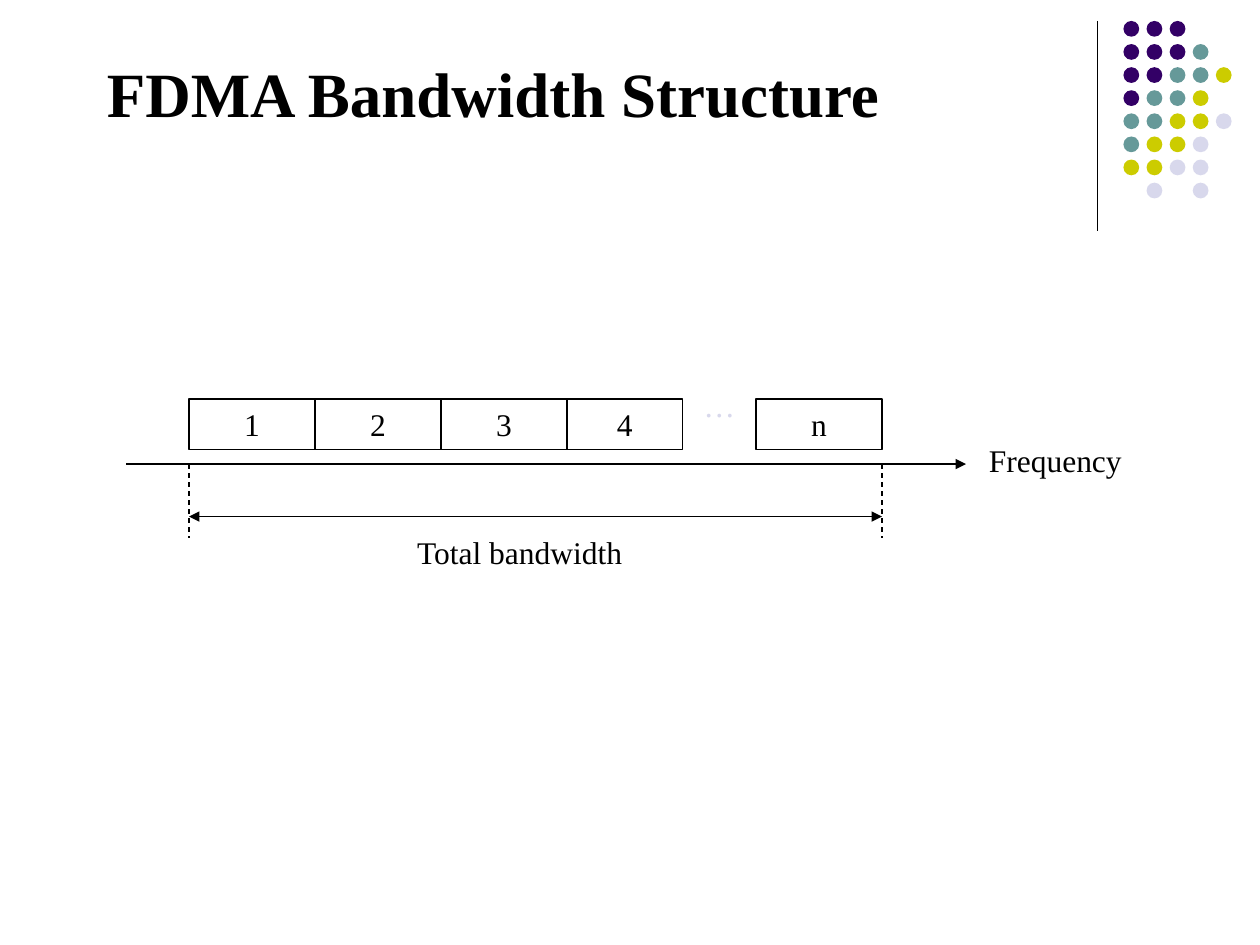
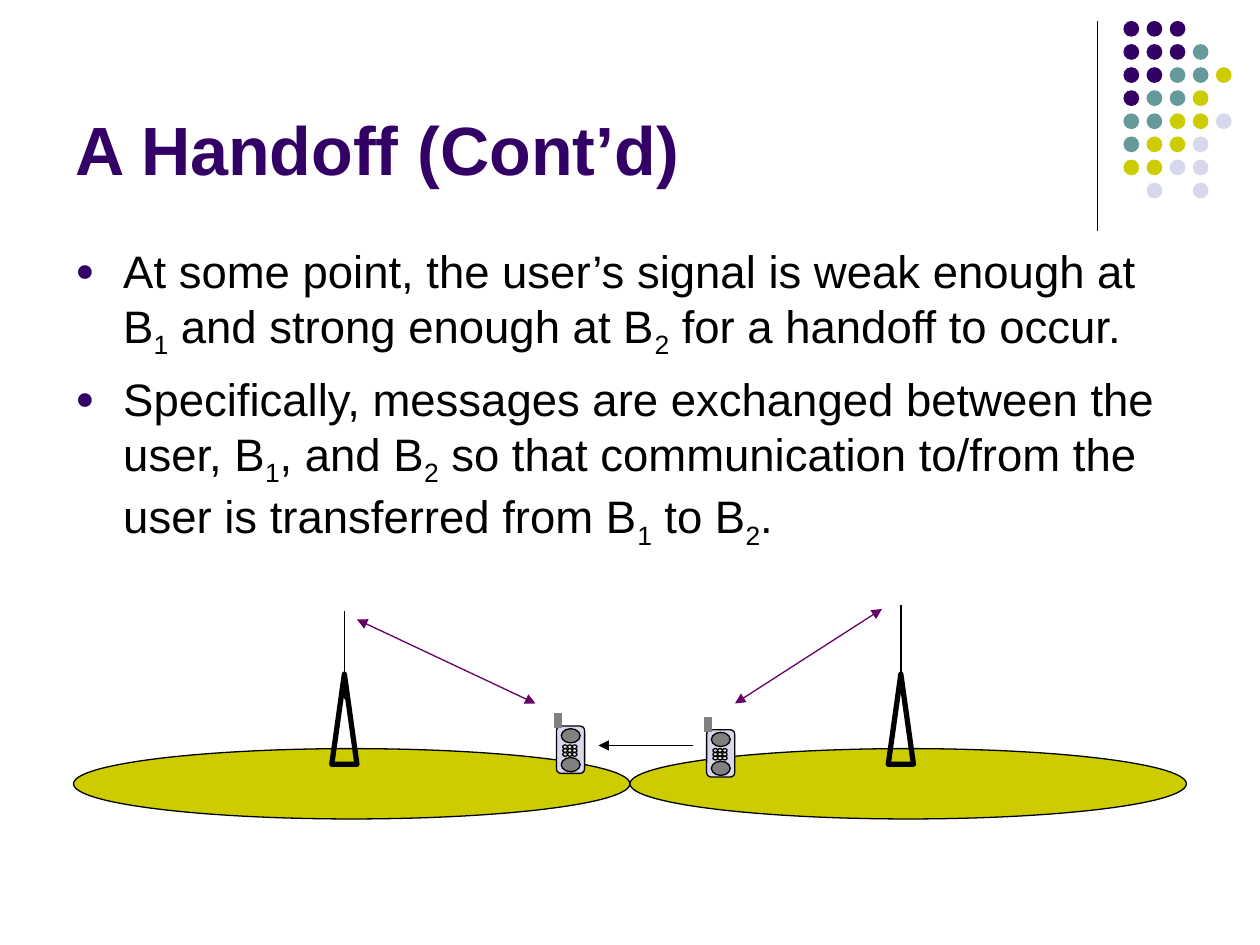
"""Build two slides on mobile networks: FDMA bandwidth and a handoff between base stations."""
from lxml.etree import SubElement
from pptx import Presentation
from pptx.dml.color import RGBColor
from pptx.enum.dml import MSO_LINE
from pptx.enum.shapes import MSO_CONNECTOR, MSO_SHAPE
from pptx.enum.text import MSO_ANCHOR, PP_ALIGN
from pptx.oxml.ns import qn
from pptx.util import Inches, Pt

BLACK, INDIGO, TEAL, OLIVE = "000000", "330066", "669999", "CCCC00"
LAVENDER, GREY, SILVER, PURPLE = "D8D8EC", "808080", "DDDDDD", "660066"
SERIF, SANS = "Times New Roman", "Arial"

deck = Presentation()
deck.slide_width, deck.slide_height = Inches(10), Inches(7.5)
CELL = deck.slide_width // 120


def draw_shape(page, kind, area, fill=None, line=None, weight=0.75):
    """Draw a preset shape; area is left, top, width, height in grid cells."""
    shape = page.shapes.add_shape(kind, *(int(length * CELL) for length in area))
    shape.shadow.inherit = False
    if fill:
        shape.fill.solid()
        shape.fill.fore_color.rgb = RGBColor.from_string(fill)
    else:
        shape.fill.background()
    if line:
        shape.line.color.rgb = RGBColor.from_string(line)
        shape.line.width = Pt(weight)
    else:
        shape.line.fill.background()
    return shape


def draw_line(page, start, end, colour=BLACK, weight=0.75, arrows=(), dash=None):
    """Draw a straight line between two grid points; arrows lists headEnd and tailEnd."""
    points = (int(length * CELL) for length in (*start, *end))
    connector = page.shapes.add_connector(MSO_CONNECTOR.STRAIGHT, *points)
    connector.line.color.rgb = RGBColor.from_string(colour)
    connector.line.width = Pt(weight)
    if dash:
        connector.line.dash_style = dash
    for arrow in arrows:
        SubElement(connector.line._ln, qn(f"a:{arrow}"), type="triangle")
    SubElement(connector._element.spPr, qn("a:effectLst"))


DOT_COLOURS = {"P": INDIGO, "T": TEAL, "Y": OLIVE, "L": LAVENDER}
DOT_ROWS = ["PPP", "PPPT", "PPTTY", "PTTY", "TTYYL", "TYYL", "YYLL", ".L.L"]
TITLES = [
    ("FDMA Bandwidth Structure", (9, 1, 106.8, 12), 36, SERIF, BLACK),
    ("A Handoff (Cont’d)", (6, 1.6, 99, 17), 39, SANS, INDIGO),
]
pages = []
for title, area, size, typeface, colour in TITLES:
    page = deck.slides.add_slide(deck.slide_layouts[6])
    pages.append(page)
    draw_line(page, (104.5, 2), (104.5, 22))
    for row, letters in enumerate(DOT_ROWS):
        for column, letter in enumerate(letters):
            if letter in DOT_COLOURS:
                dot = (107 + 2.2 * column, 2 + 2.2 * row, 1.5, 1.5)
                draw_shape(page, MSO_SHAPE.OVAL, dot, DOT_COLOURS[letter])
    box = page.shapes.add_textbox(*(int(length * CELL) for length in area))
    box.text_frame.word_wrap = True
    box.text_frame.vertical_anchor = MSO_ANCHOR.BOTTOM
    box.text_frame.text = title
    font = box.text_frame.paragraphs[0].runs[0].font
    font.name, font.size, font.bold = typeface, Pt(size), True
    font.color.rgb = RGBColor.from_string(colour)

bandwidth, handoff = pages

CHANNEL, CHANNEL_TOP, LABEL_HEIGHT = 12, 38, 4.8
AXIS, BAND_START, BAND_END = 44.2, 18, 84
channels = [(str(i + 1), BAND_START + CHANNEL * i, CHANNEL) for i in range(3)]
channels += [("4", 54, 11), ("n", BAND_END - CHANNEL, CHANNEL)]
labels = []
for text, left, width in channels:
    area = (left, CHANNEL_TOP, width, LABEL_HEIGHT)
    labels.append((draw_shape(bandwidth, MSO_SHAPE.RECTANGLE, area, line=BLACK),
                   text, BLACK, PP_ALIGN.CENTER))
for text, area, colour, align in [
    ("…", (64, 36.2, 9, LABEL_HEIGHT), LAVENDER, PP_ALIGN.CENTER),
    ("Frequency", (93, 41.4, 20, LABEL_HEIGHT), BLACK, PP_ALIGN.LEFT),
    ("Total bandwidth", (30, 50.2, 39, LABEL_HEIGHT), BLACK, PP_ALIGN.CENTER),
]:
    box = bandwidth.shapes.add_textbox(*(int(length * CELL) for length in area))
    labels.append((box, text, colour, align))
for box, text, colour, align in labels:
    box.text_frame.word_wrap = True
    box.text_frame.text = text
    paragraph = box.text_frame.paragraphs[0]
    paragraph.alignment = align
    font = paragraph.runs[0].font
    font.name, font.size = SERIF, Pt(18)
    font.color.rgb = RGBColor.from_string(colour)

draw_line(bandwidth, (12, AXIS), (92, AXIS), arrows=["tailEnd"])
for edge in (BAND_START, BAND_END):
    draw_line(bandwidth, (edge, AXIS), (edge, AXIS + 7), dash=MSO_LINE.DASH)
draw_line(bandwidth, (BAND_START, AXIS + 5), (BAND_END, AXIS + 5), arrows=["headEnd", "tailEnd"])

POINTS = [
    "At some point, the user’s signal is weak enough at B|1| and strong enough at B|2"
    "| for a handoff to occur.",
    "Specifically, messages are exchanged between the user, B|1|, and B|2"
    "| so that communication to/from the user is transferred from B|1| to B|2|.",
]
body = handoff.shapes.add_textbox(*(int(length * CELL) for length in (6, 22.6, 108, 57.8)))
body.text_frame.word_wrap = True
for number, point in enumerate(POINTS):
    paragraph = body.text_frame.add_paragraph() if number else body.text_frame.paragraphs[0]
    properties = paragraph._p.get_or_add_pPr()
    properties.set("marL", str(Inches(0.38)))
    properties.set("indent", str(Inches(-0.38)))
    SubElement(SubElement(properties, qn("a:buClr")), qn("a:srgbClr"), val=INDIGO)
    SubElement(properties, qn("a:buSzPct"), val="70000")
    SubElement(properties, qn("a:buFont"), typeface=SANS)
    SubElement(properties, qn("a:buChar"), char="●")
    if number:
        paragraph.space_before = Pt(6.5)
    for part, text in enumerate(point.split("|")):
        span = paragraph.add_run()
        span.text = text
        span.font.name, span.font.size = SANS, Pt(26)
        span.font.color.rgb = RGBColor.from_string(BLACK)
        if part % 2:
            span._r.get_or_add_rPr().set("baseline", "-25000")

CELL_WIDTH = 53
for left, mast_top in [(7, 58.2), (7 + CELL_WIDTH, 57.6)]:
    draw_shape(handoff, MSO_SHAPE.OVAL, (left, 71.3, CELL_WIDTH, 6.7), OLIVE, BLACK)
    tower = (left + 24.6, 64.2, 2.4, 8.6)
    draw_shape(handoff, MSO_SHAPE.ISOSCELES_TRIANGLE, tower, line=BLACK, weight=3)
    mast = left + 25.8
    draw_line(handoff, (mast, mast_top + 8.4), (mast, mast_top))

for left, top in [(67.3, 69.5), (53, 69.15)]:
    case = draw_shape(handoff, MSO_SHAPE.ROUNDED_RECTANGLE, (left, top, 2.68, 4.5), LAVENDER, BLACK)
    case.adjustments[0] = 0.16
    for row in range(3):
        for column in range(3):
            key = (left + 0.6 + 0.45 * column, top + 1.8 + 0.36 * row, 0.45, 0.36)
            draw_shape(handoff, MSO_SHAPE.OVAL, key, SILVER, BLACK)
    draw_line(handoff, (left + 0.16, top + 0.2), (left + 0.16, top - 1.2), GREY, 4.5)
    for offset in (0.25, 3):
        draw_shape(handoff, MSO_SHAPE.OVAL, (left + 0.45, top + offset, 1.8, 1.35), GREY, BLACK)

draw_line(handoff, (66, 71), (57, 71), arrows=["tailEnd"])
for phone, antenna in [((70, 67), (84, 58)), ((51, 67), (34, 59))]:
    draw_line(handoff, phone, antenna, PURPLE, arrows=["headEnd", "tailEnd"])

deck.save("out.pptx")
